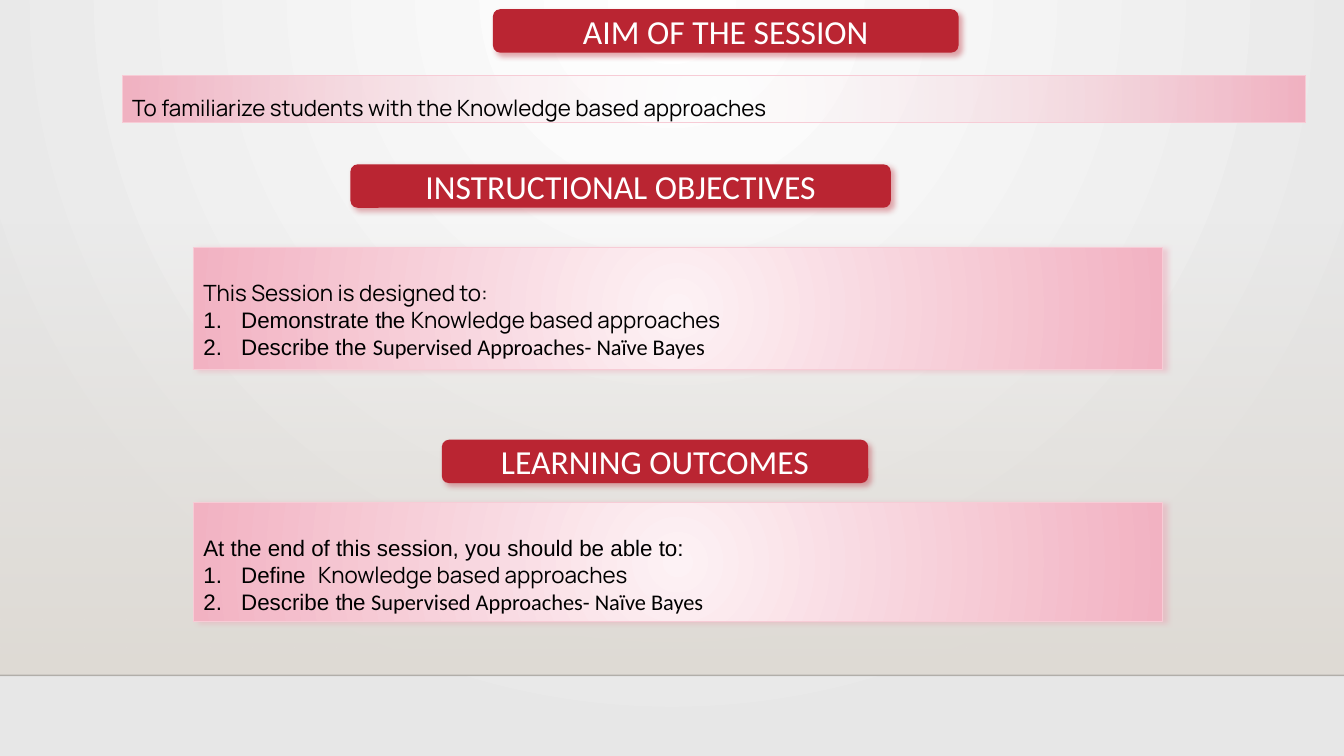
"""Build a slide stating a session's aim, objectives and learning outcomes."""
from dataclasses import dataclass

from lxml import etree
from pptx import Presentation
from pptx.dml.color import RGBColor
from pptx.enum.shapes import MSO_CONNECTOR, MSO_SHAPE
from pptx.enum.text import MSO_ANCHOR, MSO_AUTO_SIZE, PP_ALIGN
from pptx.oxml.ns import qn
from pptx.util import Pt

RECTANGLE = MSO_SHAPE.RECTANGLE
ROUNDED = MSO_SHAPE.ROUNDED_RECTANGLE
STRAIGHT = MSO_CONNECTOR.STRAIGHT
TOP, MIDDLE = MSO_ANCHOR.TOP, MSO_ANCHOR.MIDDLE
CENTER = PP_ALIGN.CENTER
GROW = MSO_AUTO_SIZE.SHAPE_TO_FIT_TEXT

COLORS = {
    "white": "FFFFFF", "grey": "E7E7E7", "stone": "DFDBD5", "black": "000000",
    "rule": "000001", "red": "BA2532", "blush": "FDF2F5", "pink": "F2B2C2",
    "border": "F7CCD6", "glow": "EE99AD",
}
WIDTH, HEIGHT = 960, 540
FLOOR = 482.4
BANNER_HEIGHT = 31
INDENT = 27


@dataclass
class Span:
    text: str
    font: str = "Arial"
    spacing: float = 0


@dataclass
class Banner:
    text: str
    left: float
    top: float
    width: float


@dataclass
class Panel:
    left: float
    top: float
    width: float
    height: float
    line_spacing: float
    intro: Span
    items: tuple = ()
    center_alpha: int = 100
    shadow: bool = True


APPROACHES = Span("Knowledge based approaches", "Manrope")
BAYES = Span("Supervised Approaches- Naïve Bayes", "Calibri")
TIGHT_THE = Span("the ", spacing=-0.4)

BANNERS = (
    Banner("AIM OF THE SESSION", 352.1, 6.6, 332.6),
    Banner("INSTRUCTIONAL OBJECTIVES", 250.3, 117.4, 386),
    Banner("LEARNING OUTCOMES", 315.6, 314.1, 304.6),
)
PANELS = (
    Panel(87.3, 54, 845.3, 33.3, 1.5,
          Span("To familiarize students with the Knowledge based approaches", "Manrope"),
          center_alpha=0, shadow=False),
    Panel(138.2, 176.9, 692, 87.1, 2,
          Span("This Session is designed to:", "Manrope"),
          ((Span("Demonstrate "), TIGHT_THE, APPROACHES),
           (Span("Describe the "), BAYES))),
    Panel(138.2, 359.1, 692, 85, 2,
          Span("At the end of this session, you should be able to:"),
          ((Span("Define"), Span(" ", spacing=4.4), APPROACHES),
           (Span("Describe "), TIGHT_THE, BAYES))),
)


def color(name: str) -> RGBColor:
    return RGBColor.from_string(COLORS[name])


def add_node(parent, tag: str, **attributes):
    return etree.SubElement(parent, qn(tag), {key: str(value) for key, value in attributes.items()})


def add_color(parent, name: str, alpha: int = 100) -> None:
    node = add_node(parent, "a:srgbClr", val=COLORS[name])
    if alpha < 100:
        add_node(node, "a:alpha", val=alpha * 1000)


def set_gradient(properties, start: str, end: str, start_alpha: int = 100, center: tuple = ()) -> None:
    solid = properties.find(qn("a:solidFill"))
    gradient = etree.Element(qn("a:gradFill"), {"rotWithShape": "1"})
    stops = add_node(gradient, "a:gsLst")
    add_color(add_node(stops, "a:gs", pos=0), start, start_alpha)
    add_color(add_node(stops, "a:gs", pos=100000), end)
    if center:
        circle = add_node(gradient, "a:path", path="circle")
        edges = {side: value * 1000 for side, value in zip("ltrb", center)}
        add_node(circle, "a:fillToRect", **edges)
    else:
        add_node(gradient, "a:lin", ang=5400000, scaled=0)
    properties.replace(solid, gradient)


def add_shadow(box, name: str, angle: int) -> None:
    effects = box.element.spPr.find(qn("a:effectLst"))
    shadow = add_node(effects, "a:outerShdw", blurRad=Pt(4), dist=Pt(3),
                      dir=angle * 60000, algn="tl", rotWithShape=0)
    add_color(shadow, name, 40)


def add_box(page, kind, left: float, top: float, width: float, height: float, fill: str):
    box = page.shapes.add_shape(kind, Pt(left), Pt(top), Pt(width), Pt(height))
    box.shadow.inherit = False
    box.fill.solid()
    box.fill.fore_color.rgb = color(fill)
    box.line.fill.background()
    return box


def format_run(run, font: str, size: float, name: str, spacing: float = 0) -> None:
    run.font.name = font
    run.font.size = Pt(size)
    run.font.color.rgb = color(name)
    if spacing:
        run.font._element.set("spc", str(round(spacing * 100)))


def draw_backdrop(page) -> None:
    fill = page.background.fill
    fill.solid()
    fill.fore_color.rgb = color("grey")
    set_gradient(page.element.find(".//" + qn("p:bgPr")), "white", "grey", center=(43, 0, 43, 100))
    wall = add_box(page, RECTANGLE, 0, 159.1, WIDTH, FLOOR - 159.1, "stone")
    set_gradient(wall.element.spPr, "stone", "stone", 0)
    edge = page.shapes.add_connector(STRAIGHT, Pt(0), Pt(FLOOR), Pt(WIDTH), Pt(FLOOR))
    edge.line.width = Pt(1)
    edge.line.color.rgb = color("rule")
    tint = edge.element.spPr.find(".//" + qn("a:srgbClr"))
    add_node(tint, "a:alpha", val=20000)
    add_node(edge.element.spPr, "a:effectLst")


def draw_banner(page, banner: Banner) -> None:
    box = add_box(page, ROUNDED, banner.left, banner.top, banner.width, BANNER_HEIGHT, "red")
    add_shadow(box, "red", 45)
    frame = box.text_frame
    frame.text = banner.text
    frame.vertical_anchor = MIDDLE
    para = frame.paragraphs[0]
    para.alignment = CENTER
    format_run(para.runs[0], "Calibri", 24, "white")


def fill_paragraph(para, spans: tuple) -> None:
    para.alignment = PP_ALIGN.LEFT
    for span in spans:
        run = para.add_run()
        run.text = span.text
        format_run(run, span.font, 16, "black", span.spacing)


def draw_panel(page, panel: Panel) -> None:
    box = add_box(page, RECTANGLE, panel.left, panel.top, panel.width, panel.height, "pink")
    set_gradient(box.element.spPr, "blush", "pink", panel.center_alpha, (50,) * 4)
    box.line.color.rgb = color("border")
    box.line.width = Pt(0.75)
    if panel.shadow:
        add_shadow(box, "glow", 0)
    frame = box.text_frame
    frame.word_wrap = True
    frame.auto_size = GROW
    frame.vertical_anchor = TOP
    intro = frame.paragraphs[0]
    fill_paragraph(intro, (panel.intro,))
    intro.line_spacing = panel.line_spacing
    for spans in panel.items:
        para = frame.add_paragraph()
        properties = para._p.get_or_add_pPr()
        properties.set("marL", str(Pt(INDENT)))
        properties.set("indent", str(-Pt(INDENT)))
        add_node(properties, "a:buFont", typeface="Arial")
        add_node(properties, "a:buAutoNum", type="arabicPeriod")
        fill_paragraph(para, spans)


def main() -> None:
    deck = Presentation()
    deck.slide_width, deck.slide_height = Pt(WIDTH), Pt(HEIGHT)
    page = deck.slides.add_slide(deck.slide_layouts[6])
    draw_backdrop(page)
    for banner, panel in zip(BANNERS, PANELS):
        draw_banner(page, banner)
        draw_panel(page, panel)
    deck.save("out.pptx")


if __name__ == "__main__":
    main()
